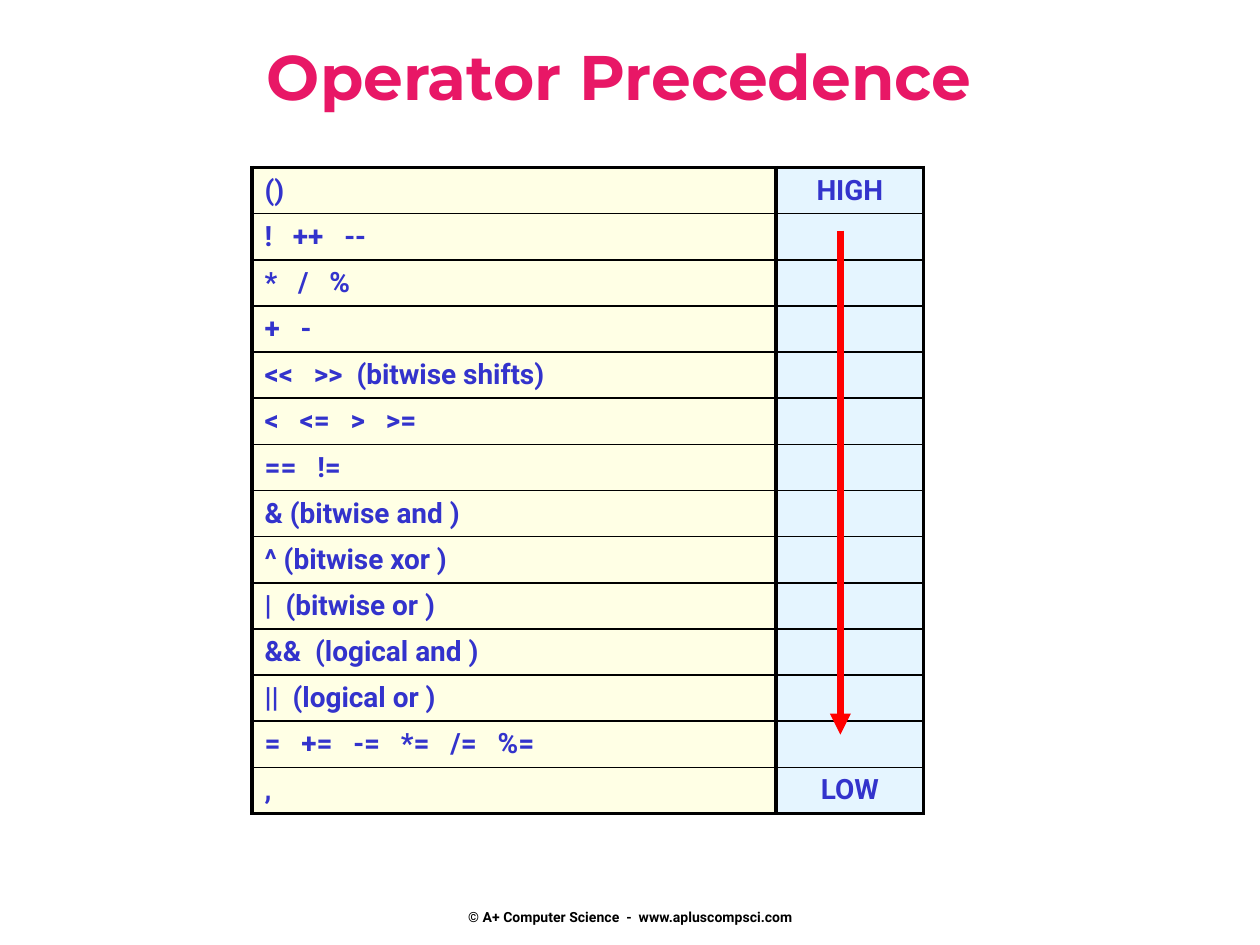
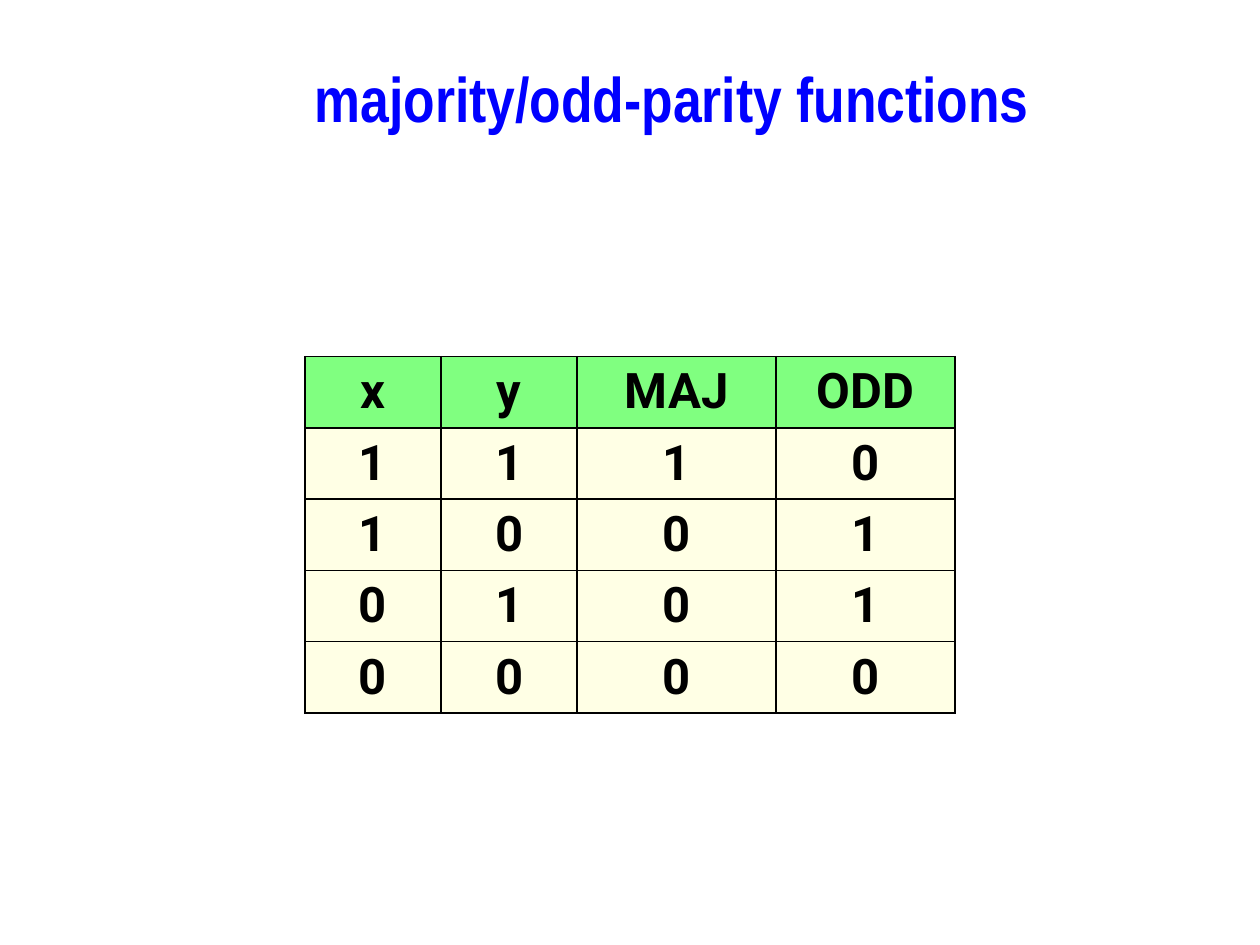
from lxml.etree import SubElement
from pptx import Presentation
from pptx.dml.color import RGBColor
from pptx.enum.shapes import MSO_CONNECTOR
from pptx.enum.text import MSO_ANCHOR, PP_ALIGN
from pptx.oxml.ns import qn
from pptx.util import Inches, Pt

PINK = RGBColor(0xE8, 0x17, 0x66)
BLUE = RGBColor(0x00, 0x00, 0xFF)
INDIGO = RGBColor(0x33, 0x33, 0xCC)
RED = RGBColor(0xFF, 0x00, 0x00)
BLACK = RGBColor(0x00, 0x00, 0x00)
CREAM = RGBColor(0xFF, 0xFF, 0xE5)
SKY = RGBColor(0xE5, 0xF5, 0xFF)
GREEN = RGBColor(0x80, 0xFF, 0x80)
BODY = "Roboto"
THIN, THICK = 1, 2.25

RANKS = [
    "()",
    "!   ++   --",
    "*   /   %",
    "+   -",
    "<<   >>  (bitwise shifts)",
    "<   <=   >   >=",
    "==   !=",
    "& (bitwise and )",
    "^ (bitwise xor )",
    "|  (bitwise or )",
    "&&  (logical and )",
    "||  (logical or )",
    "=   +=   -=   *=   /=   %=",
    ",",
]
ENDS = {0: "HIGH", len(RANKS) - 1: "LOW"}
TRUTH = [
    ("x", "y", "MAJ", "ODD"),
    ("1", "1", "1", "0"),
    ("1", "0", "0", "1"),
    ("0", "1", "0", "1"),
    ("0", "0", "0", "0"),
]
FOOTER = "© A+ Computer Science  -  www.apluscompsci.com"


def write(frame, text, font, size, color, align=PP_ALIGN.CENTER):
    para = frame.paragraphs[0]
    para.alignment = align
    run = para.add_run()
    run.text = text
    run.font.name = font
    run.font.size = Pt(size)
    run.font.bold = True
    run.font.color.rgb = color


def add_label(slide, box, text, font, size, color, anchor=MSO_ANCHOR.TOP):
    frame = slide.shapes.add_textbox(*map(Inches, box)).text_frame
    frame.word_wrap = False
    frame.vertical_anchor = anchor
    write(frame, text, font, size, color)


def add_edge(cell, side, width):
    line = SubElement(cell._tc.get_or_add_tcPr(), qn(f"a:ln{side}"), w=str(Pt(width)))
    fill = SubElement(line, qn("a:solidFill"))
    SubElement(fill, qn("a:srgbClr"), val=str(BLACK))


def add_grid(slide, rows, spot, widths, height, size, color, frame, fill, align):
    count = len(rows)
    box = map(Inches, (*spot, sum(widths), height))
    table = slide.shapes.add_table(count, len(widths), *box).table
    table.first_row = table.horz_banding = False
    for col, width in zip(table.columns, widths):
        col.width = Inches(width)
    for r, texts in enumerate(rows):
        table.rows[r].height = Inches(height / count)
        for c, text in enumerate(texts):
            cell = table.cell(r, c)
            cell.margin_top = cell.margin_bottom = 0
            cell.vertical_anchor = MSO_ANCHOR.MIDDLE
            add_edge(cell, "L", frame)
            add_edge(cell, "R", frame)
            add_edge(cell, "T", frame if r == 0 else THIN)
            add_edge(cell, "B", frame if r == count - 1 else THIN)
            cell.fill.solid()
            cell.fill.fore_color.rgb = fill(r, c)
            if text:
                write(cell.text_frame, text, BODY, size, color, align(c))


def add_arrow(slide, start, end):
    arrow = slide.shapes.add_connector(
        MSO_CONNECTOR.STRAIGHT, *map(Inches, (*start, *end)))
    arrow.line.color.rgb = RED
    arrow.line.width = Pt(4)
    SubElement(arrow.line._get_or_add_ln(), qn("a:tailEnd"), type="triangle")
    SubElement(arrow._element.spPr, qn("a:effectLst"))


def add_ranks(slide):
    add_label(slide, (3.42, 7.13, 3.17, 0.3), FOOTER, BODY, 8, BLACK, MSO_ANCHOR.MIDDLE)
    add_label(slide, (0.83, 0.25, 8.17, 0.92), "Operator Precedence",
              "Montserrat", 36, PINK)
    rows = [(text, ENDS.get(r, "")) for r, text in enumerate(RANKS)]
    add_grid(slide, rows, (2, 1.33), (4.16, 1.17), 5.13, 16, INDIGO, THICK,
             lambda r, c: (CREAM, SKY)[c],
             lambda c: (PP_ALIGN.LEFT, PP_ALIGN.CENTER)[c])
    add_arrow(slide, (6.67, 1.83), (6.67, 5.83))


def add_truth(slide):
    add_label(slide, (1.92, 0.42, 6.83, 1.57), "majority/odd-parity functions",
              "Arial Narrow", 36, BLUE)
    add_grid(slide, TRUTH, (2.42, 2.83), (1.08, 1.08, 1.58, 1.42), 2.83, 28, BLACK, THIN,
             lambda r, c: CREAM if r else GREEN,
             lambda c: PP_ALIGN.CENTER)


def main():
    deck = Presentation()
    deck.slide_width, deck.slide_height = Inches(10), Inches(7.5)
    for build in (add_ranks, add_truth):
        build(deck.slides.add_slide(deck.slide_layouts[6]))
    deck.save("out.pptx")


if __name__ == "__main__":
    main()
